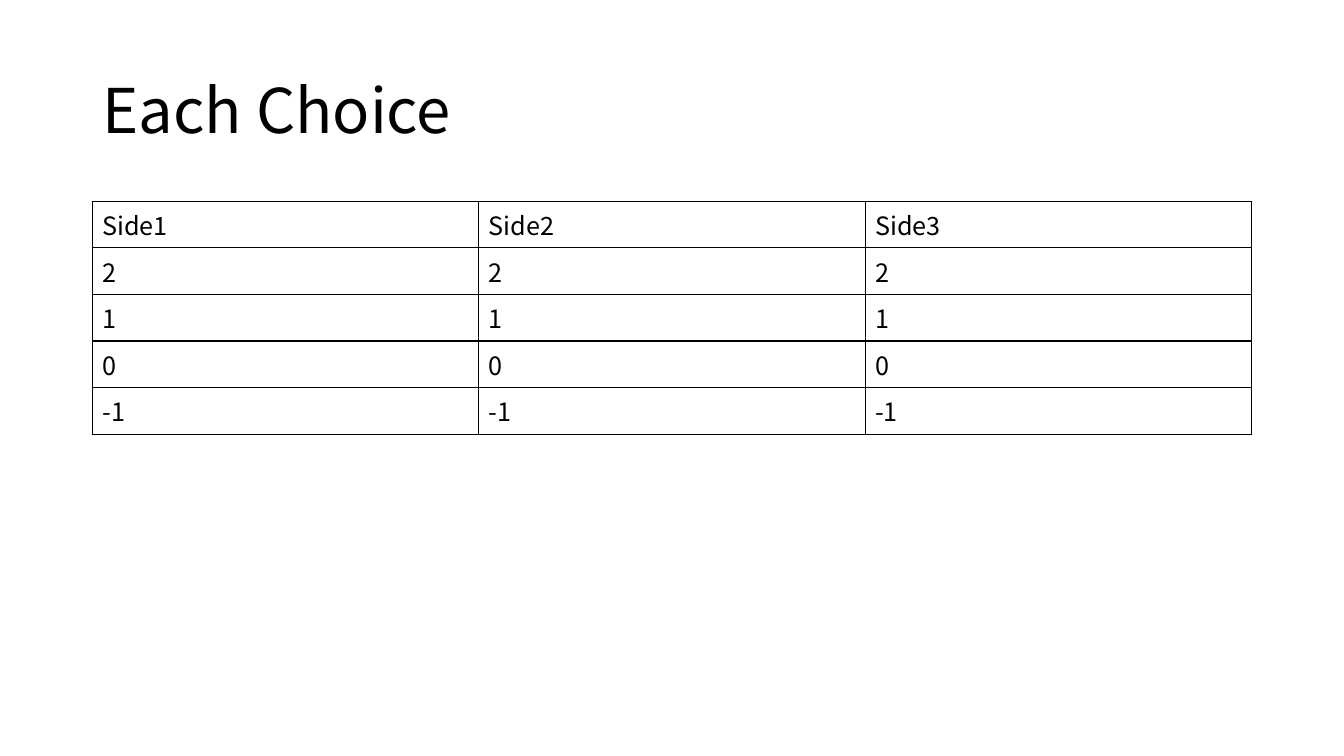
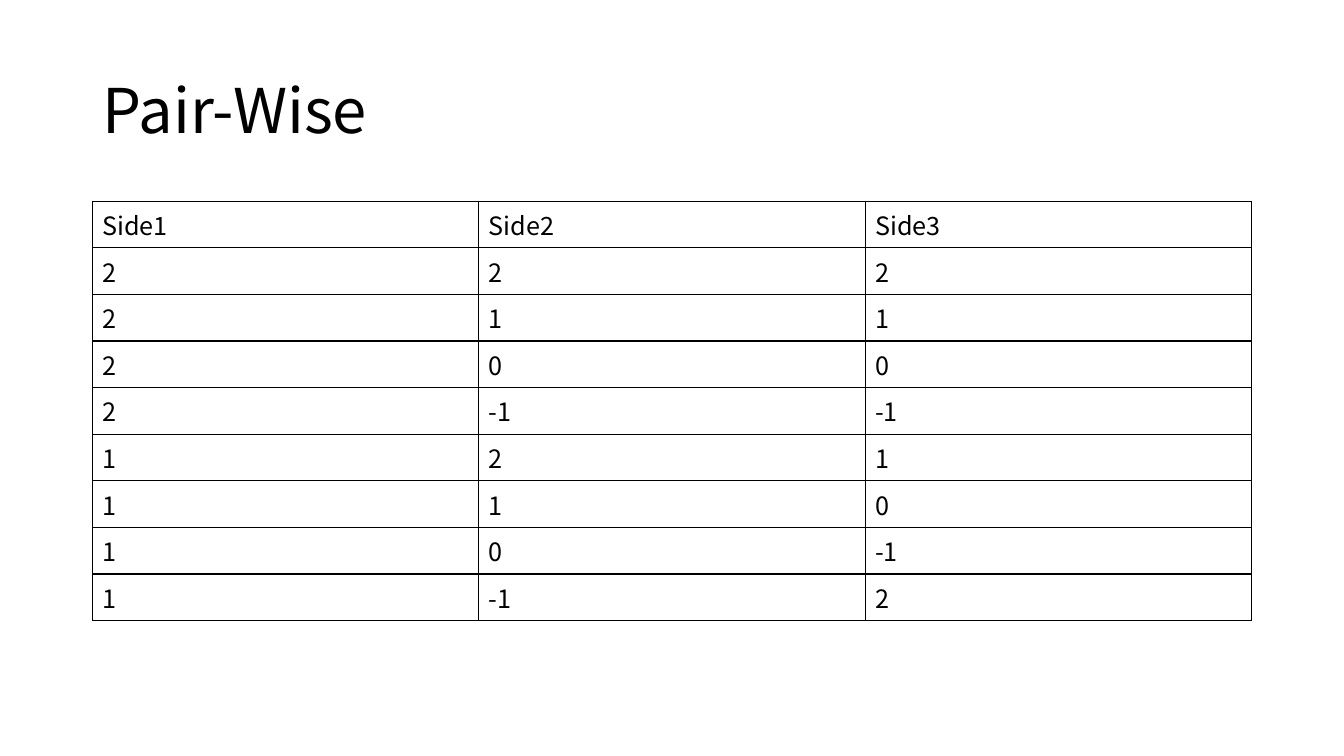
from lxml.etree import SubElement
from pptx import Presentation
from pptx.dml.color import RGBColor
from pptx.enum.text import MSO_ANCHOR, MSO_AUTO_SIZE, PP_ALIGN
from pptx.oxml.ns import qn
from pptx.util import Pt

COLORS = {"text": "000000", "line": "000000"}
FONT = "Noto Sans CJK SC"
LEFT, WIDTH = 66, 828
HEAD = ["Side1", "Side2", "Side3"]


class Deck:
    def __init__(self):
        self.prs = Presentation()
        self.prs.slide_width, self.prs.slide_height = Pt(960), Pt(540)
        self.slide = None

    def style(self, par, size):
        par.alignment = PP_ALIGN.LEFT
        for run in par.runs:
            run.font.name = FONT
            run.font.size = Pt(size)
            run.font.bold = False
            run.font.color.rgb = RGBColor.from_string(COLORS["text"])

    def page(self, title):
        self.slide = self.prs.slides.add_slide(self.prs.slide_layouts[5])
        box = self.slide.shapes.title
        box.left, box.top = Pt(LEFT), Pt(28.75)
        box.width, box.height = Pt(WIDTH), Pt(104.38)
        frame = box.text_frame
        frame.text = title
        frame.word_wrap = True
        frame.auto_size = MSO_AUTO_SIZE.NONE
        frame.vertical_anchor = MSO_ANCHOR.MIDDLE
        frame.paragraphs[0].line_spacing = 0.9
        self.style(frame.paragraphs[0], 44)

    def border(self, cell):
        props = cell._tc.get_or_add_tcPr()
        for side in ("lnL", "lnR", "lnT", "lnB"):
            line = SubElement(props, qn(f"a:{side}"), w=str(Pt(1)))
            fill = SubElement(line, qn("a:solidFill"))
            SubElement(fill, qn("a:srgbClr"), val=COLORS["line"])

    def table(self, rows, top=143.75, high=29.2):
        grid = self.slide.shapes.add_table(
            len(rows), len(rows[0]), Pt(LEFT), Pt(top),
            Pt(WIDTH), Pt(high * len(rows))).table
        grid.first_row = grid.horz_banding = False
        for r, row in enumerate(rows):
            for c, value in enumerate(row):
                cell = grid.cell(r, c)
                cell.text_frame.text = str(value)
                self.style(cell.text_frame.paragraphs[0], 18)
                self.border(cell)
                cell.fill.background()


def main():
    deck = Deck()
    sides = [2, 1, 0, -1]

    # Each value once per side
    deck.page("Each Choice")
    deck.table([HEAD] + [[n] * 3 for n in sides])

    # Pairs: the third side shifts by one for each new first side
    deck.page("Pair-Wise")
    pairs = [[first, n, sides[(i + shift) % 4]]
             for shift, first in enumerate(sides[:2])
             for i, n in enumerate(sides)]
    deck.table([HEAD] + pairs)

    deck.prs.save("out.pptx")


if __name__ == "__main__":
    main()
